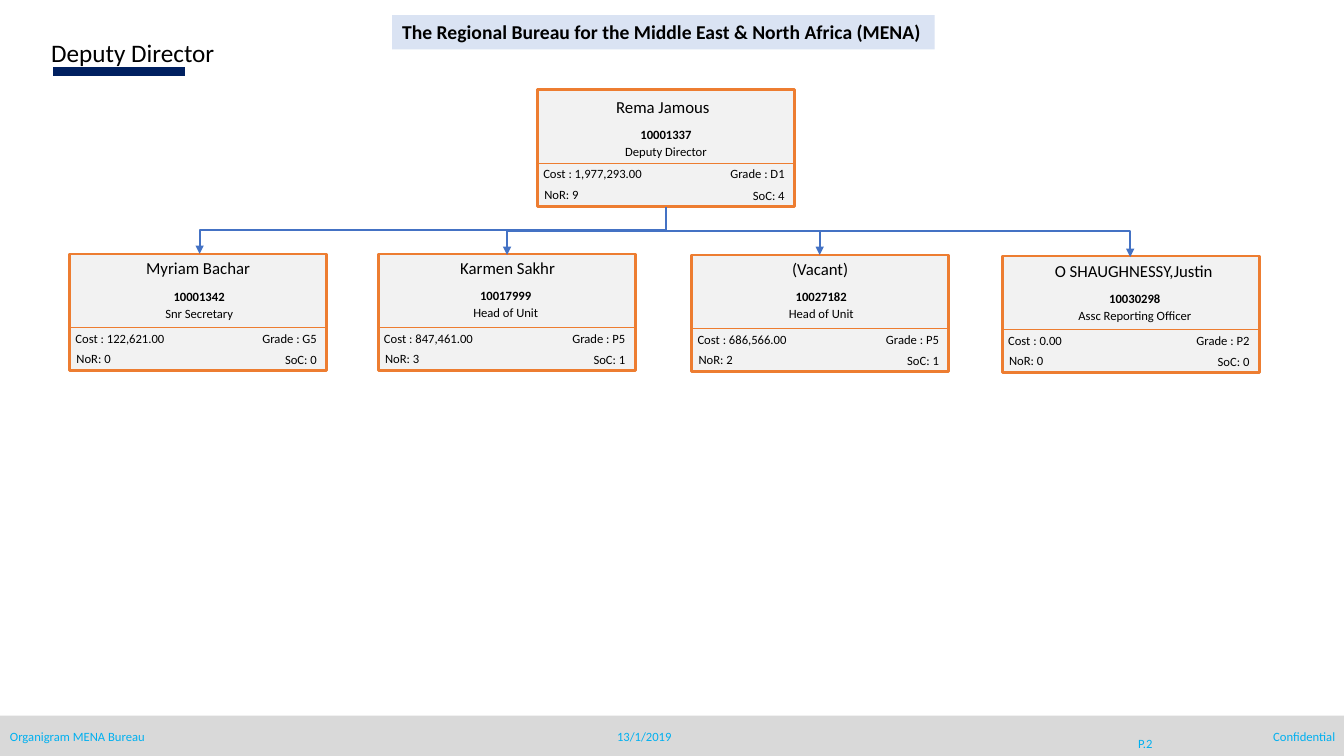
from pptx import Presentation
from pptx.dml.color import RGBColor
from pptx.enum.shapes import MSO_CONNECTOR as CONN, MSO_SHAPE as SHAPE
from pptx.enum.text import MSO_ANCHOR as ANCHOR, MSO_AUTO_SIZE as AUTO, PP_ALIGN as ALIGN
from pptx.oxml.ns import qn
from pptx.util import Inches, Pt
from lxml.etree import SubElement


def rgb(code):
    return RGBColor.from_string(code)


class OrgSlide:
    FONT = "Calibri"
    BLACK, CYAN = "000000", "00B0F0"
    ORANGE, BLUE, NAVY = "ED7D31", "4472C4", "002060"
    CARD_FILL, BAND, FOOTER = "F2F2F2", "DAE3F3", "D9D9D9"
    CARD_W, CARD_H = 2.55, 1.16

    def __init__(self, prs):
        self.s = prs.slides.add_slide(prs.slide_layouts[6])

    def rect(self, x, y, w, h, fill, line=None, width=2):
        sp = self.s.shapes.add_shape(SHAPE.RECTANGLE, Inches(x), Inches(y), Inches(w), Inches(h))
        sp.shadow.inherit = False
        sp.fill.solid()
        sp.fill.fore_color.rgb = rgb(fill)
        if line:
            sp.line.color.rgb = rgb(line)
            sp.line.width = Pt(width)
        else:
            sp.line.fill.background()

    def text(self, text, x, y, w, h=0.25, size=9, color=BLACK, bold=False,
             align=ALIGN.LEFT, anchor=ANCHOR.TOP, wrap=True, fill=None):
        sp = self.s.shapes.add_textbox(Inches(x), Inches(y), Inches(w), Inches(h))
        if fill:
            sp.fill.solid()
            sp.fill.fore_color.rgb = rgb(fill)
        tf = sp.text_frame
        tf.word_wrap = wrap
        tf.auto_size = AUTO.SHAPE_TO_FIT_TEXT
        tf.vertical_anchor = anchor
        p = tf.paragraphs[0]
        p.text = text
        p.alignment = align
        p.font.name = self.FONT
        p.font.size = Pt(size)
        p.font.bold = bold
        p.font.color.rgb = rgb(color)

    def line(self, x1, y1, x2, y2, color, width, kind=CONN.STRAIGHT):
        c = self.s.shapes.add_connector(kind, Inches(x1), Inches(y1), Inches(x2), Inches(y2))
        c.line.color.rgb = rgb(color)
        c.line.width = Pt(width)
        SubElement(c._element.spPr, qn("a:effectLst"))
        return c

    def arrow(self, x1, y1, x2, y2, preset="bentConnector2", turn=0):
        """Elbow arrow; turn rotates its frame by whole degrees."""
        c = self.line(x1, y1, x2, y2, self.BLUE, 1.5, CONN.ELBOW)
        pr = c._element.spPr
        pr.find(qn("a:prstGeom")).set("prst", preset)
        if turn:
            pr.find(qn("a:xfrm")).set("rot", str(turn * 60000))
        SubElement(pr.find(qn("a:ln")), qn("a:tailEnd"), type="triangle")

    def card(self, x, y, name, number, role, cost, grade, nor, soc, name_at, number_at):
        """name_at and number_at are offsets from the corner of the card."""
        w = self.CARD_W
        self.rect(x, y, w, self.CARD_H, self.CARD_FILL, self.ORANGE)
        self.line(x, y + 0.73, x + w, y + 0.73, self.ORANGE, 1)
        # Centred heading
        dx, dy = name_at
        self.text(name, x + dx, y + dy, w, 0.3, 12, align=ALIGN.CENTER)
        dx, dy = number_at
        self.text(number, x + dx, y + dy, w, bold=True, align=ALIGN.CENTER)
        self.text(role, x + dx, y + dy + 0.17, w, align=ALIGN.CENTER)
        # Figures in the four corners of the lower part
        self.text(f"Cost : {cost}", x - 0.04, y + 0.71, 1.23)
        self.text(f"Grade : {grade}", x + 1.33, y + 0.71, 1.22, align=ALIGN.RIGHT)
        self.text(f"NoR: {nor}", x - 0.03, y + 0.91, 0.79)
        self.text(f"SoC: {soc}", x + 1.53, y + 0.92, 1.02, align=ALIGN.RIGHT)


CARDS = [
    (5.33, 0.89, "Rema Jamous", "10001337", "Deputy Director", "1,977,293.00", "D1", 9, 4,
     (-0.03, 0.02), (0, 0.32)),
    (0.69, 2.52, "Myriam Bachar", "10001342", "Snr Secretary", "122,621.00", "G5", 0, 0,
     (0, -0.01), (0.01, 0.3)),
    (3.75, 2.52, "Karmen Sakhr", "10017999", "Head of Unit", "847,461.00", "P5", 3, 1,
     (0.01, -0.01), (-0.01, 0.29)),
    (6.86, 2.53, "(Vacant)", "10027182", "Head of Unit", "686,566.00", "P5", 2, 1,
     (0, -0.01), (0.01, 0.29)),
    (9.94, 2.54, "O SHAUGHNESSY,Justin", "10030298", "Assc Reporting Officer", "0.00", "P2", 0, 0,
     (0.03, 0), (0.04, 0.3)),
]


def main():
    prs = Presentation()
    prs.slide_width, prs.slide_height = Inches(13.33), Inches(7.5)
    org = OrgSlide(prs)

    # Heading
    org.line(0.53, 0.71, 1.84, 0.71, org.NAVY, 7)
    org.text("Deputy Director", 0.41, 0.32, 5.3, 0.41, 18)
    org.text("The Regional Bureau for the Middle East & North Africa (MENA)",
             3.89, 0.15, 5.38, 0.34, 14, bold=True, wrap=False, fill=org.BAND)

    # Footer
    org.rect(0, 7.1, 13.33, 0.41, org.FOOTER)
    org.text("Organigram MENA Bureau", 0, 7.18, 3.08, color=org.CYAN)
    org.text("13/1/2019", 5.95, 7.18, 0.88, color=org.CYAN,
             align=ALIGN.CENTER, anchor=ANCHOR.MIDDLE)
    org.text("P.2", 10.96, 7.18, 0.8, 0.4, color=org.CYAN,
             align=ALIGN.CENTER, anchor=ANCHOR.MIDDLE)
    org.text("Confidential", 10.26, 7.18, 3.08, color=org.CYAN, align=ALIGN.RIGHT)

    # Staff cards
    for card in CARDS:
        org.card(*card)

    # Reporting lines: the first drops from the director, the rest branch off
    org.arrow(4.06, -0.03, 4.53, 4.6, "bentConnector3", turn=90)
    for start, end, bottom in [(6.74, 5.03, 2.53), (6.72, 8.13, 2.53), (6.56, 11.21, 2.55)]:
        org.arrow(start, 2.29, end, bottom)

    prs.save("out.pptx")


if __name__ == "__main__":
    main()
